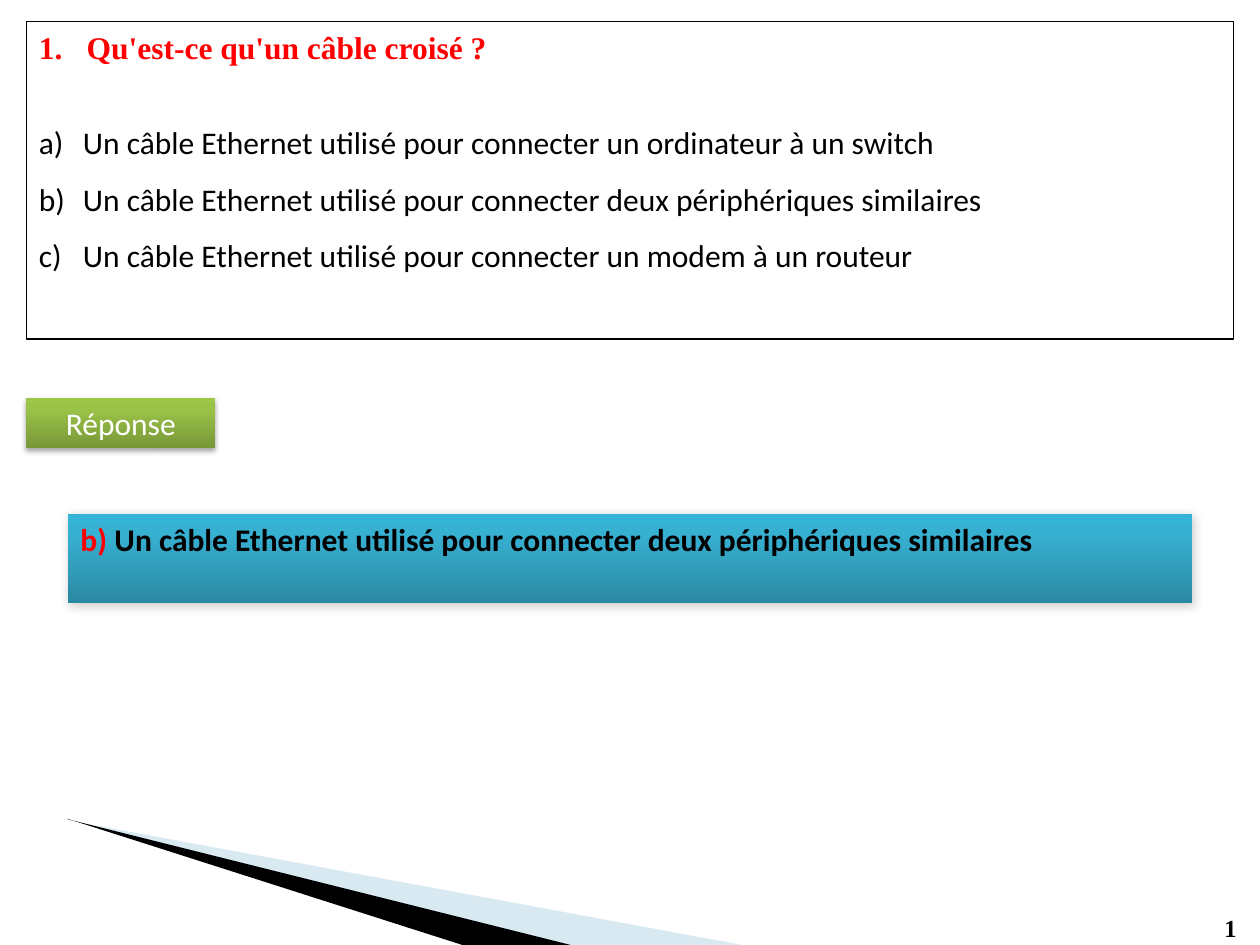
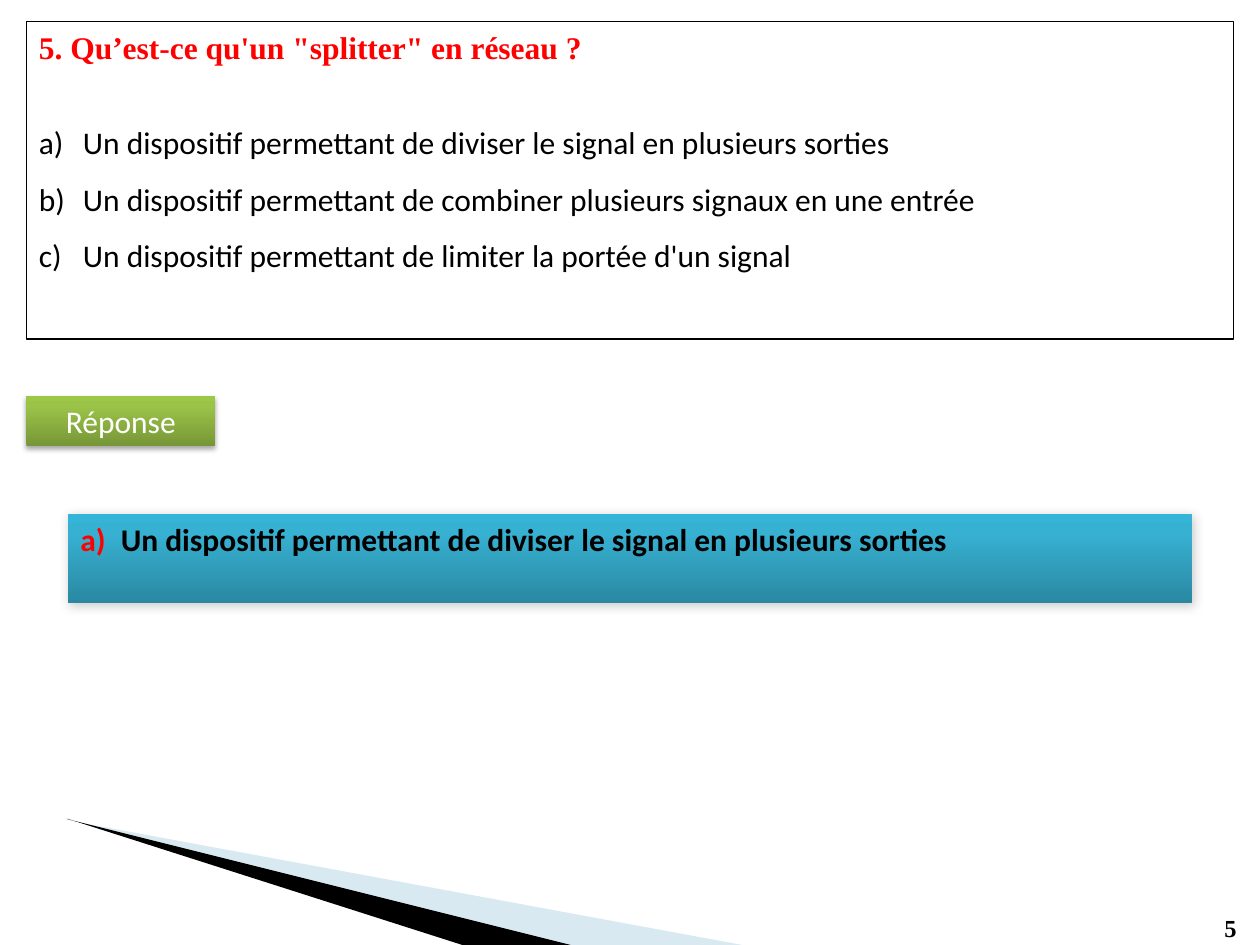
from lxml.etree import SubElement
from pptx import Presentation
from pptx.dml.color import RGBColor
from pptx.enum.shapes import MSO_SHAPE
from pptx.enum.text import MSO_ANCHOR, PP_ALIGN
from pptx.oxml.ns import qn
from pptx.util import Inches, Pt

QUESTIONS = [
    {
        "page": "1",
        "title": "Qu'est-ce qu'un câble croisé ?",
        "title_numbered": True,
        "options": [
            "Un câble Ethernet utilisé pour connecter un ordinateur à un switch",
            "Un câble Ethernet utilisé pour connecter deux périphériques similaires",
            "Un câble Ethernet utilisé pour connecter un modem à un routeur",
        ],
        "correct": 1,
        "answer_tab": 0.27,
        "label_top": 3.16,
    },
    {
        "page": "5",
        "title": "5. Qu’est-ce qu'un \"splitter\" en réseau ?",
        "title_numbered": False,
        "options": [
            "Un dispositif permettant de diviser le signal en plusieurs sorties",
            "Un dispositif permettant de combiner plusieurs signaux en une entrée",
            "Un dispositif permettant de limiter la portée d'un signal",
        ],
        "correct": 0,
        "answer_tab": 0.32,
        "label_top": 3.14,
    },
]

WIDTH, HEIGHT = 10, 7.5
MARGIN = 0.21
ANSWER_MARGIN = 0.54

BLACK = RGBColor(0x00, 0x00, 0x00)
WHITE = RGBColor(0xFF, 0xFF, 0xFF)
RED = RGBColor(0xFF, 0x00, 0x00)
PALE_BLUE = RGBColor(0x9F, 0xCA, 0xDC)
GREEN_STOPS = [
    (0, RGBColor(0x77, 0x97, 0x37)),
    (80, RGBColor(0x9B, 0xC3, 0x48)),
    (100, RGBColor(0x9D, 0xC7, 0x46)),
]
BLUE_STOPS = [
    (0, RGBColor(0x2A, 0x88, 0xA2)),
    (80, RGBColor(0x37, 0xB1, 0xD2)),
    (100, RGBColor(0x34, 0xB4, 0xD6)),
]
LABEL_SHADOW = {"opacity": 35, "blur": 3.1, "distance": 1.8, "angle": 90}
ANSWER_SHADOW = {"opacity": 20, "blur": 6, "distance": 1, "angle": 45}

SERIF, SANS = "Times New Roman", "Calibri"
TITLE = {"name": SERIF, "size": Pt(18), "bold": True, "color": RED}
OPTION = {"name": SANS, "size": Pt(18), "bold": False, "color": BLACK}
LABEL = {"name": SANS, "size": Pt(18), "color": WHITE}
ANSWER = {"name": SANS, "size": Pt(18), "bold": True, "color": BLACK}
ANSWER_LETTER = {**ANSWER, "color": RED}
PAGE_NUMBER = {"name": SERIF, "size": Pt(14), "bold": True, "color": BLACK}

# Each wedge is a list of closed contours.
WEDGES = [
    (PALE_BLUE, 40, [
        [(0.64, 6.53), (4.51, HEIGHT), (5.89, HEIGHT)],
        [(0.55, 6.5), (0.55, 6.51), (0.64, 6.53)],
    ]),
    (BLACK, 100, [[(0.53, 6.5), (0.54, 6.5), (3.67, HEIGHT), (4.53, HEIGHT)]]),
]


def add_run(paragraph, text, style):
    run = paragraph.add_run()
    run.text = text
    for name, value in style.items():
        if name == "color":
            run.font.color.rgb = value
        else:
            setattr(run.font, name, value)


def add_numbering(paragraph, scheme, indent):
    """Number a paragraph automatically, with a hanging indent in inches."""
    properties = paragraph._p.get_or_add_pPr()
    properties.set("marL", str(Inches(indent)))
    properties.set("indent", str(-Inches(indent)))
    SubElement(properties, qn("a:buAutoNum"), type=scheme)


def add_tab_stop(paragraph, position):
    tabs = SubElement(paragraph._p.get_or_add_pPr(), qn("a:tabLst"))
    SubElement(tabs, qn("a:tab"), pos=str(Inches(position)), algn="l")


def add_color(parent, color, opacity=100):
    element = SubElement(parent, qn("a:srgbClr"), val=str(color))
    if opacity < 100:
        SubElement(element, qn("a:alpha"), val=str(opacity * 1000))


def add_box(slide, left, top, width, height):
    box = slide.shapes.add_shape(
        MSO_SHAPE.RECTANGLE, *map(Inches, (left, top, width, height)))
    box.shadow.inherit = False
    box.text_frame.word_wrap = True
    box.text_frame.vertical_anchor = MSO_ANCHOR.TOP
    box.text_frame.paragraphs[0].alignment = PP_ALIGN.LEFT
    return box


def add_glossy_box(slide, place, stops, shadow):
    """Add a borderless box with an upward gradient and a soft shadow."""
    box = add_box(slide, *place)
    box.line.fill.background()
    box.fill.gradient()
    gradient = box._element.spPr.find(qn("a:gradFill"))
    stop_list = gradient.find(qn("a:gsLst"))
    for old_stop in list(stop_list):
        stop_list.remove(old_stop)
    for position, color in stops:
        add_color(SubElement(stop_list, qn("a:gs"), pos=str(position * 1000)), color)
    direction = gradient.find(qn("a:lin"))
    direction.set("ang", str(270 * 60000))
    direction.set("scaled", "0")

    effects = box._element.spPr.find(qn("a:effectLst"))
    outer = SubElement(
        effects, qn("a:outerShdw"),
        blurRad=str(Pt(shadow["blur"])), dist=str(Pt(shadow["distance"])),
        dir=str(shadow["angle"] * 60000), rotWithShape="0")
    add_color(outer, BLACK, shadow["opacity"])
    return box


def add_wedges(slide):
    for color, opacity, contours in WEDGES:
        builder = None
        for contour in contours:
            start, *rest = [tuple(map(Inches, point)) for point in contour]
            if builder is None:
                builder = slide.shapes.build_freeform(*start)
            else:
                builder.move_to(*start)
            builder.add_line_segments(rest, close=True)
        wedge = builder.convert_to_shape()
        wedge.shadow.inherit = False
        wedge.line.fill.background()
        wedge.fill.solid()
        wedge.fill.fore_color.rgb = color
        if opacity < 100:
            element = wedge._element.spPr.find(qn("a:solidFill"))[0]
            SubElement(element, qn("a:alpha"), val=str(opacity * 1000))


def add_page_number(slide, number):
    box = slide.shapes.add_textbox(*map(Inches, (9.62, 7.2, 0.36, 0.34)))
    box.text_frame.word_wrap = True
    add_run(box.text_frame.paragraphs[0], number, PAGE_NUMBER)


def add_question(slide, question):
    box = add_box(slide, MARGIN, 0.17, WIDTH - 2 * MARGIN, 2.52)
    box.fill.background()
    box.line.color.rgb = BLACK
    box.line.width = Pt(0.75)
    title = box.text_frame.paragraphs[0]
    if question["title_numbered"]:
        add_numbering(title, "arabicPeriod", 0.38)
    add_run(title, question["title"], TITLE)
    for index, option in enumerate(question["options"]):
        paragraph = box.text_frame.add_paragraph()
        paragraph.alignment = PP_ALIGN.LEFT
        paragraph.line_spacing = 1.5
        if index == 0:
            paragraph.space_before = Pt(22)
        add_numbering(paragraph, "alphaLcParenR", 0.35)
        add_run(paragraph, option, OPTION)


def add_answer(slide, question):
    label = add_glossy_box(
        slide, (MARGIN, question["label_top"], 1.5, 0.4), GREEN_STOPS, LABEL_SHADOW)
    paragraph = label.text_frame.paragraphs[0]
    paragraph.alignment = PP_ALIGN.CENTER
    add_run(paragraph, "Réponse", LABEL)

    answer = add_glossy_box(
        slide, (ANSWER_MARGIN, 4.08, WIDTH - 2 * ANSWER_MARGIN, 0.71),
        BLUE_STOPS, ANSWER_SHADOW)
    paragraph = answer.text_frame.paragraphs[0]
    paragraph.alignment = PP_ALIGN.JUSTIFY
    add_tab_stop(paragraph, question["answer_tab"])
    correct = question["correct"]
    add_run(paragraph, f"{'abc'[correct]})\t", ANSWER_LETTER)
    add_run(paragraph, question["options"][correct], ANSWER)


def main():
    presentation = Presentation()
    presentation.slide_width = Inches(WIDTH)
    presentation.slide_height = Inches(HEIGHT)
    blank_layout = presentation.slide_layouts[6]
    for question in QUESTIONS:
        slide = presentation.slides.add_slide(blank_layout)
        add_wedges(slide)
        add_page_number(slide, question["page"])
        add_question(slide, question)
        add_answer(slide, question)
    presentation.save("out.pptx")


if __name__ == "__main__":
    main()
